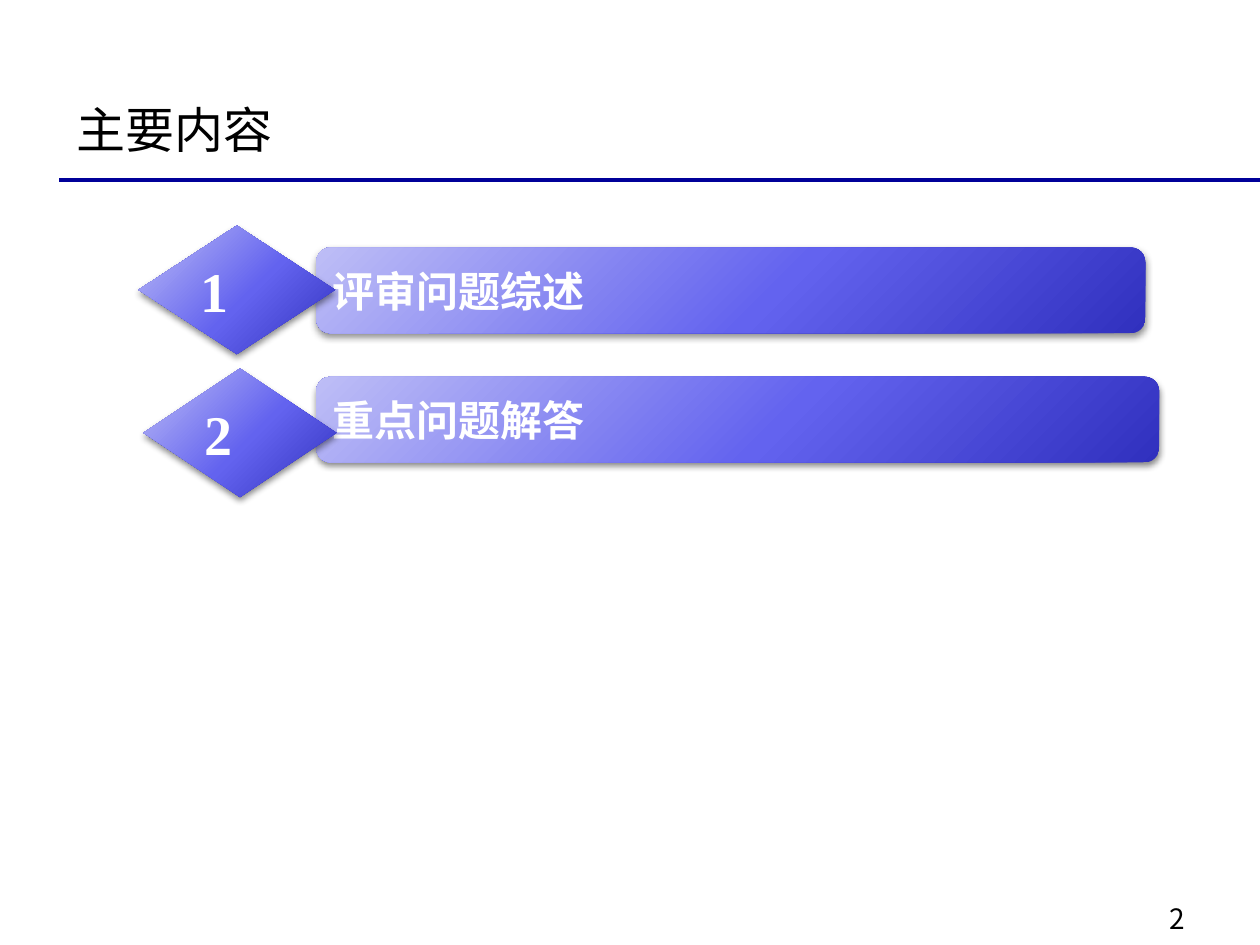
import lxml.etree
import pptx
import pptx.dml.color
import pptx.enum.shapes
import pptx.enum.text
import pptx.oxml
import pptx.oxml.ns
import pptx.util

SANS, SERIF = "Noto Sans CJK SC", "Times New Roman"
NAMESPACE = pptx.oxml.ns.nsdecls("a")
GRADIENT = f"""<a:gradFill {NAMESPACE} rotWithShape="1"><a:gsLst>
<a:gs pos="0"><a:srgbClr val="BEBEF6"/></a:gs>
<a:gs pos="55000"><a:srgbClr val="6363EF"/></a:gs>
<a:gs pos="100000"><a:srgbClr val="3030BE"/></a:gs></a:gsLst>
<a:path path="circle"><a:fillToRect l="-40000" t="-90000" r="140000" b="190000"/></a:path>
</a:gradFill>"""
SHADOW = f"""<a:outerShdw {NAMESPACE} blurRad="50800" dist="25400" dir="5400000" rotWithShape="0">
<a:srgbClr val="000000"><a:alpha val="45000"/></a:srgbClr></a:outerShdw>"""

deck = pptx.Presentation()
deck.slide_width = pptx.util.Inches(10)
deck.slide_height = pptx.util.Inches(7.5)
COLUMN = deck.slide_width / 100
ROW = deck.slide_height / 100


def area(left, top, width, height):
    """Turn percentages of the slide into left, top, width and height."""
    return [round(left * COLUMN), round(top * ROW), round(width * COLUMN), round(height * ROW)]


def write(box, text, size, font, color, bold=False):
    frame = box.text_frame
    frame.word_wrap = True
    frame.vertical_anchor = pptx.enum.text.MSO_ANCHOR.MIDDLE
    para = frame.paragraphs[0]
    para.alignment = pptx.enum.text.PP_ALIGN.LEFT
    span = para.add_run()
    span.text = text
    for name, value in {"size": pptx.util.Pt(size), "name": font, "bold": bold}.items():
        setattr(span.font, name, value)
    span.font.color.rgb = pptx.dml.color.RGBColor.from_string(color)
    east_asian = lxml.etree.SubElement(span.font._element, pptx.oxml.ns.qn("a:ea"))
    east_asian.set("typeface", SANS)


page = deck.slides.add_slide(deck.slide_layouts[5])

title = page.shapes.title
for name, value in zip(("left", "top", "width", "height"), area(5.1, 9.07, 90, 9.2)):
    setattr(title, name, value)
write(title, "主要内容", 28, SANS, "000000")

page_number = page.shapes.add_textbox(*area(91.8, 94.67, 5.9, 4.93))
write(page_number, "2", 16, SANS, "000000")

left, rule_top, width, _ = area(4.7, 19.07, 95.3, 0)
rule = page.shapes.add_connector(
    pptx.enum.shapes.MSO_CONNECTOR.STRAIGHT, left, rule_top, left + width, rule_top)
rule.line.width = pptx.util.Pt(2.25)
rule.line.color.rgb = pptx.dml.color.RGBColor.from_string("000099")
lxml.etree.SubElement(rule._element.spPr, pptx.oxml.ns.qn("a:effectLst"))

KIND = pptx.enum.shapes.MSO_SHAPE
topics = [
    ("评审问题综述", (25.1, 26.2, 65.8, 9.07), (11, 23.87, 15.6, 13.6)),
    ("重点问题解答", (25.1, 39.87, 66.9, 9.07), (11.4, 39, 15.3, 13.6)),
]
for number, (topic, bar_area, diamond_area) in enumerate(topics, 1):
    group = page.shapes.add_group_shape()
    for kind, place, text, size in (
        (KIND.ROUNDED_RECTANGLE, bar_area, topic, 24),
        (KIND.DIAMOND, diamond_area, str(number), 32),
    ):
        shape = group.shapes.add_shape(kind, *area(*place))
        shape.line.fill.background()
        shape.shadow.inherit = False
        properties = shape._element.spPr
        properties.prstGeom.addnext(pptx.oxml.parse_xml(GRADIENT))
        properties.find(pptx.oxml.ns.qn("a:effectLst")).append(pptx.oxml.parse_xml(SHADOW))
        write(shape, text, size, SERIF, "FFFFFF", bold=True)

deck.save("out.pptx")
